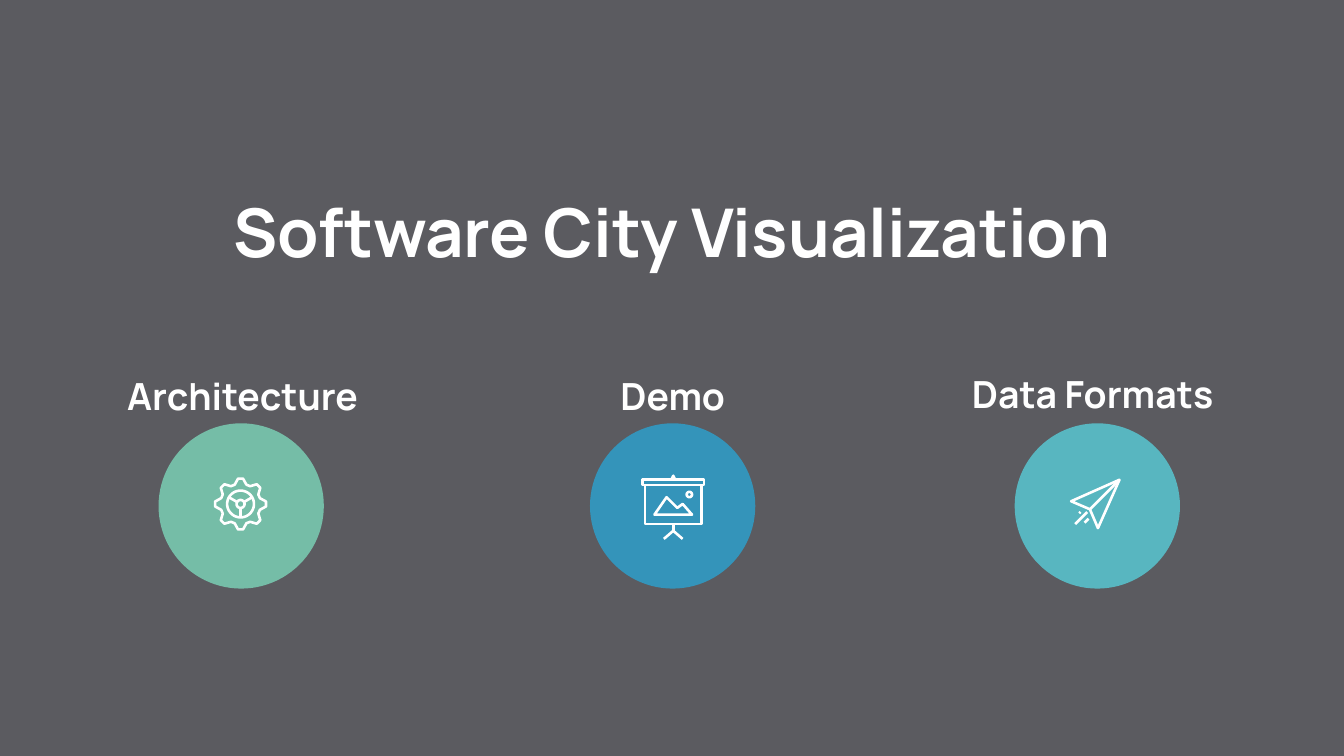
"""Build the Software City Visualization section slide."""
from math import cos, pi, sin

from lxml import etree
from pptx import Presentation
from pptx.dml.color import RGBColor
from pptx.enum.shapes import MSO_SHAPE
from pptx.enum.text import MSO_ANCHOR, MSO_AUTO_SIZE, PP_ALIGN
from pptx.oxml.ns import qn
from pptx.util import Inches, Pt

RECT, OVAL = MSO_SHAPE.RECTANGLE, MSO_SHAPE.OVAL
MIDDLE, CENTER, NO_FIT = MSO_ANCHOR.MIDDLE, PP_ALIGN.CENTER, MSO_AUTO_SIZE.NONE
WHITE = RGBColor(0xFF, 0xFF, 0xFF)
GRAY = RGBColor(0xD9, 0xD9, 0xD9)
DARK = RGBColor(0x1B, 0x1A, 0x22)
GREEN = RGBColor(0x75, 0xBD, 0xA7)
BLUE = RGBColor(0x34, 0x94, 0xBA)
TEAL = RGBColor(0x58, 0xB6, 0xC0)


def ring(cx, cy, radii, n):
    radii = [radii[i % len(radii)] for i in range(n + 1)]
    return [(cx + r * cos((i - 0.5) * 2 * pi / n), cy + r * sin((i - 0.5) * 2 * pi / n))
            for i, r in enumerate(radii)]


def set_text(sp, text, size):
    tf = sp.text_frame
    tf.word_wrap, tf.auto_size, tf.vertical_anchor = True, NO_FIT, MIDDLE
    tf.margin_left = tf.margin_right = tf.margin_top = tf.margin_bottom = 0
    p = tf.paragraphs[0]
    p.text, p.alignment, p.line_spacing = text, CENTER, 1.4
    p.font.name, p.font.size, p.font.bold = "Manrope", Pt(size), True
    p.font.color.rgb = WHITE


prs = Presentation()
prs.slide_width = Inches(10)
prs.slide_height = prs.slide_width * 9 // 16
s = prs.slides.add_slide(prs.slide_layouts[5])

title = s.shapes.title
title.left, title.top, title.width, title.height = map(Inches, (1.05, 0.72, 7.9, 1.75))
set_text(title, "Software City Visualization", 36)

for color in (GRAY, DARK):
    sp = s.shapes.add_shape(RECT, 0, 0, prs.slide_width, prs.slide_height)
    sp.shadow.inherit = False
    sp.fill.solid()
    sp.fill.fore_color.rgb = color
    sp.line.fill.background()
    title._element.addprevious(sp._element)
clr = sp._element.spPr.find(qn("a:solidFill"))[0]
etree.SubElement(clr, qn("a:alpha")).set("val", "66000")

gear = [ring(1.79, 3.75, (0.19, 0.19, 0.15, 0.15), 32),
        ring(1.79, 3.75, (0.1,), 32), ring(1.79, 3.75, (0.03,), 16)]
for a in (pi / 2, pi * 7 / 6, pi * 11 / 6):
    gear.append([(1.79 + r * cos(a), 3.75 + r * sin(a)) for r in (0.03, 0.1)])

screen = [
    [(4.78, 3.57), (5.24, 3.57), (5.24, 3.61), (4.78, 3.61), (4.78, 3.57)],
    [(4.8, 3.61), (4.8, 3.9), (5.22, 3.9), (5.22, 3.61)],
    [(4.87, 3.83), (4.96, 3.7), (5.04, 3.78), (5.08, 3.75), (5.15, 3.83), (4.87, 3.83)],
    [(5.01, 3.9), (5.01, 3.95)],
    [(4.94, 4.01), (5.01, 3.95), (5.08, 4.01)],
    [(5, 3.56), (5.01, 3.54), (5.02, 3.56)],
    ring(5.13, 3.68, (0.02,), 16),
]

plane = [
    [(7.97, 3.73), (8.33, 3.57), (8.17, 3.93), (8.11, 3.79), (7.97, 3.73)],
    [(8.11, 3.79), (8.33, 3.57)],
    [(8, 3.9), (8.09, 3.81)],
    [(8.07, 3.89), (8.1, 3.86)],
    [(8.03, 3.82), (8.04, 3.81)],
]

items = [
    ("Architecture", GREEN, 1.18, gear, (0.78, 2.61, 2.05, 0.54)),
    ("Demo", BLUE, 4.39, screen, (4.04, 2.61, 1.93, 0.54)),
    ("Data Formats", TEAL, 7.55, plane, (7.12, 2.7, 2.02, 0.33)),
]
for label, color, left, strokes, box in items:
    shapes = s.shapes.add_group_shape().shapes
    sp = shapes.add_shape(OVAL, Inches(left), Inches(3.15), Inches(1.23), Inches(1.23))
    sp.shadow.inherit = False
    sp.fill.solid()
    sp.fill.fore_color.rgb = color
    sp.line.fill.background()

    strokes = [[(Inches(x), Inches(y)) for x, y in pts] for pts in strokes]
    icon = shapes.build_freeform(*strokes[0][0])
    for pts in strokes:
        icon.move_to(*pts[0])
        icon.add_line_segments(pts[1:], close=pts[0] == pts[-1])
    sp = icon.convert_to_shape()
    sp.shadow.inherit = False
    sp.fill.background()
    sp.line.color.rgb = WHITE
    sp.line.width = Pt(1.4)

    set_text(shapes.add_textbox(*map(Inches, box)), label, 20)

prs.save("out.pptx")
